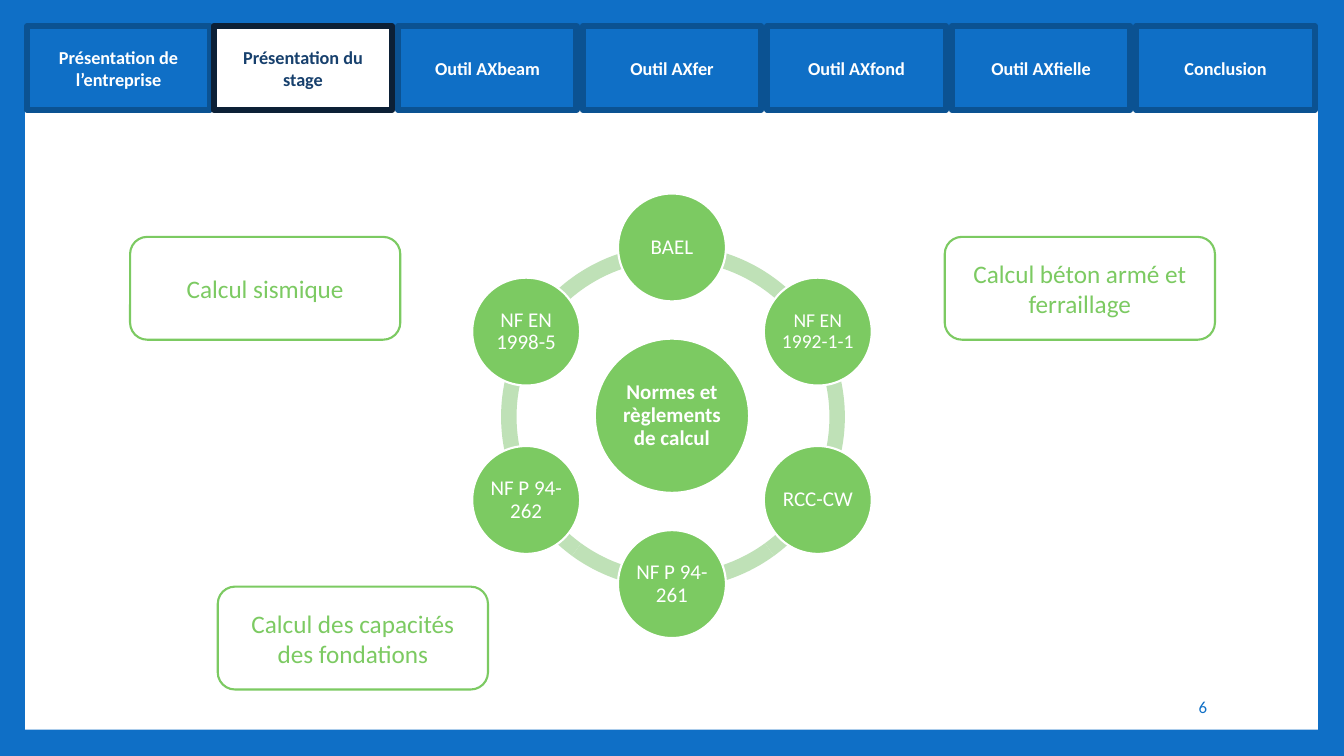
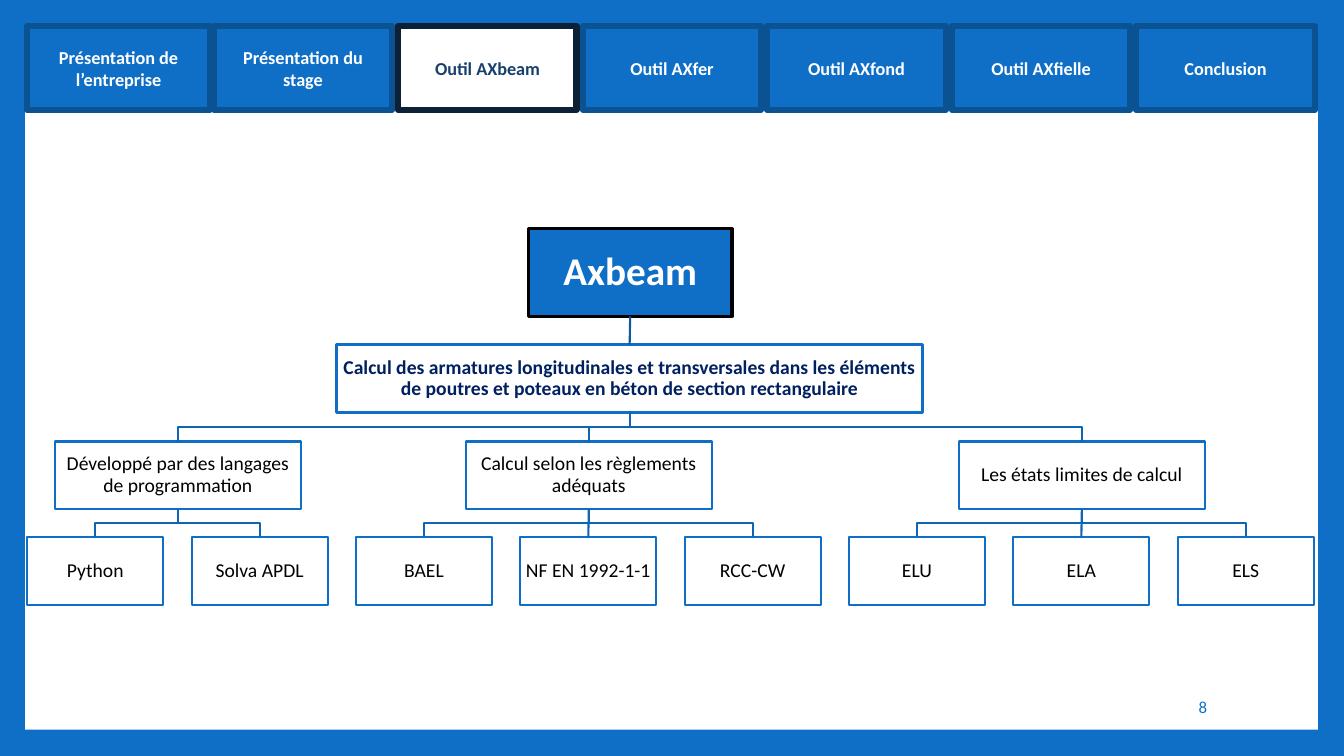
"""Build two slides on calculation standards and on the beam design tool."""
from math import cos, radians, sin

from lxml import etree
from pptx import Presentation
from pptx.dml.color import RGBColor
from pptx.enum.shapes import MSO_CONNECTOR, MSO_SHAPE
from pptx.enum.text import MSO_ANCHOR, PP_ALIGN
from pptx.oxml.ns import qn
from pptx.util import Inches, Pt

RECT, ROUND = MSO_SHAPE.RECTANGLE, MSO_SHAPE.ROUNDED_RECTANGLE
OVAL, ARC = MSO_SHAPE.OVAL, MSO_SHAPE.BLOCK_ARC
LINE = MSO_CONNECTOR.STRAIGHT
MID, MITTE, RIGHT = MSO_ANCHOR.MIDDLE, PP_ALIGN.CENTER, PP_ALIGN.RIGHT
SIDES = ("margin_left", "margin_right", "margin_top", "margin_bottom")

HUES = {name: RGBColor.from_string(code) for name, code in {
    "blue": "0F6FC6", "edge": "0B5292", "night": "0C2036", "deep": "17406D",
    "link": "0E65B4", "stem": "0C599F", "navy": "002060", "green": "7CCA62",
    "pale": "BFE1B7", "white": "FFFFFF", "black": "000000"}.items()}

TIGHT = {"pad": 0.01, "space": 0.9}
TAB = {"fill": "blue", "line": "edge", "width": 4.5, "ink": "white", "size": 13, "bold": True}
OPEN = {**TAB, "fill": "white", "line": "night", "ink": "deep"}
NOTE = {"fill": "white", "line": "green", "width": 1.5, "ink": "green", "size": 18}
DISC = {"fill": "green", "line": "white", "width": 1.5, "ink": "white", "size": 15,
        "pad": 0.02, "space": 0.9}
LEAF = {"fill": "white", "line": "blue", "width": 1.5, "ink": "black", "size": 14, **TIGHT}
GOAL = {**LEAF, "width": 2.25, "ink": "navy", "bold": True}
ROOT = {**GOAL, "fill": "blue", "line": "black", "ink": "white", "size": 28}
PAGE = {"ink": "blue", "size": 12, "align": RIGHT}


def write(shape, text, form):
    frame = shape.text_frame
    frame.word_wrap = True
    frame.vertical_anchor = MID
    if "pad" in form:
        for side in SIDES:
            setattr(frame, side, Inches(form["pad"]))
    para = frame.paragraphs[0]
    para.alignment = form.get("align", MITTE)
    para.line_spacing = form.get("space", 1.0)
    run = para.add_run()
    run.text = text
    looks = {"name": "Calibri", "size": Pt(form["size"]), "bold": form.get("bold", False)}
    for key, value in looks.items():
        setattr(run.font, key, value)
    run.font.color.rgb = HUES[form["ink"]]


def box(slide, kind, spot, form, text=""):
    shape = slide.shapes.add_shape(kind, *map(Inches, spot))
    shape.shadow.inherit = False
    shape.fill.solid()
    shape.fill.fore_color.rgb = HUES[form["fill"]]
    if "line" in form:
        shape.line.color.rgb = HUES[form["line"]]
        shape.line.width = Pt(form["width"])
    else:
        shape.line.fill.background()
    if text:
        write(shape, text, form)
    return shape


deck = Presentation()
deck.slide_width, deck.slide_height = Inches(13.33), Inches(7.5)
master, blank = deck.slide_master, deck.slide_layouts[6]
master.background.fill.solid()
master.background.fill.fore_color.rgb = HUES["blue"]

tabs = ["Présentation de l’entreprise", "Présentation du stage", "Outil AXbeam",
        "Outil AXfer", "Outil AXfond", "Outil AXfielle", "Conclusion"]
slides = []
for page, topic in (("6", 1), ("8", 2)):
    slide = deck.slides.add_slide(blank)
    slides.append(slide)
    foot = slide.shapes.add_textbox(*map(Inches, (10.2, 6.81, 1.87, 0.4)))
    write(foot, page, PAGE)
    for i, label in enumerate(tabs):
        left, wide = (0.29 + 1.83 * i, 1.77) if i else (0.27, 1.81)
        box(slide, RECT, (left, 0.26, wide, 0.83), OPEN if i == topic else TAB, label)
norms, tool = slides

panel = box(norms, RECT, (0.25, 0.27, 12.82, 6.97), {"fill": "white"})
master.shapes.element.append(panel.element)

mid_x, mid_y, reach = 6.67, 4.13, 1.67
marks = [18, 54, 90, 126, 162, 198]
for start, end in zip(marks, marks[1:] + marks[:1]):
    arc = box(norms, ARC, (mid_x - 1.7, mid_y - 1.7, 3.41, 3.41), {"fill": "pale"})
    for i, value in enumerate((start * 0.6, end * 0.6, 0.045)):
        arc.adjustments[i] = value
box(norms, OVAL, (mid_x - 0.77, mid_y - 0.77, 1.53, 1.53), {**DISC, "bold": True},
    "Normes et règlements de calcul")
codes = ["BAEL", "NF EN 1992-1-1", "RCC-CW", "NF P 94-261", "NF P 94-262", "NF EN 1998-5"]
for i, code in enumerate(codes):
    turn = radians(60 * i - 90)
    spot = (mid_x + reach * cos(turn) - 0.54, mid_y + reach * sin(turn) - 0.54, 1.07, 1.07)
    box(norms, OVAL, spot, {**DISC, "size": 14 if i == 1 else 15}, code)
for left, top, label in ((9.37, 2.35, "Calcul béton armé et ferraillage"),
                         (1.29, 2.35, "Calcul sismique"),
                         (2.16, 5.82, "Calcul des capacités des fondations")):
    box(norms, ROUND, (left, top, 2.68, 1.02), NOTE, label)

root = box(tool, RECT, (5.24, 2.27, 2.02, 0.87), ROOT, "Axbeam")
goal = box(tool, RECT, (3.34, 3.42, 5.81, 0.67), GOAL,
           "Calcul des armatures longitudinales et transversales dans les éléments "
           "de poutres et poteaux en béton de section rectangulaire")
themes = {"Développé par des langages de programmation": ["Python", "Solva APDL"],
          "Calcul selon les règlements adéquats": ["BAEL", "NF EN 1992-1-1", "RCC-CW"],
          "Les états limites de calcul": ["ELU", "ELA", "ELS"]}
pairs = [(root, goal, "stem")]
step, first = 1.63, 0
for theme, names in themes.items():
    centre = 0.95 + step * (first + (len(names) - 1) / 2)
    head = box(tool, RECT, (centre - 1.22, 4.38, 2.44, 0.67), LEAF, theme)
    pairs.append((goal, head, "link"))
    for i, name in enumerate(names, first):
        leaf = box(tool, RECT, (0.27 + step * i, 5.33, 1.35, 0.67), LEAF, name)
        pairs.append((head, leaf, "link"))
    first += len(names)

for upper, lower, hue in pairs:
    x1, x2 = (node.left + node.width // 2 for node in (upper, lower))
    y1, y2 = upper.top + upper.height, lower.top
    if abs(x1 - x2) < Inches(0.02):
        wire = tool.shapes.add_connector(LINE, x1, y1, x2, y2)
        wire.begin_connect(upper, 2)
        wire.end_connect(lower, 0)
        props = wire.element.find(qn("p:spPr"))
    else:
        bend = (y1 + y2) // 2
        path = tool.shapes.build_freeform(x1, y1)
        path.add_line_segments([(x1, bend), (x2, bend), (x2, y2)], close=False)
        wire = path.convert_to_shape()
        wire.fill.background()
        props = None
        wire.shadow.inherit = False
    wire.line.color.rgb = HUES[hue]
    wire.line.width = Pt(1.5)
    if props is not None:
        etree.SubElement(props, qn("a:effectLst"))

deck.save("out.pptx")
